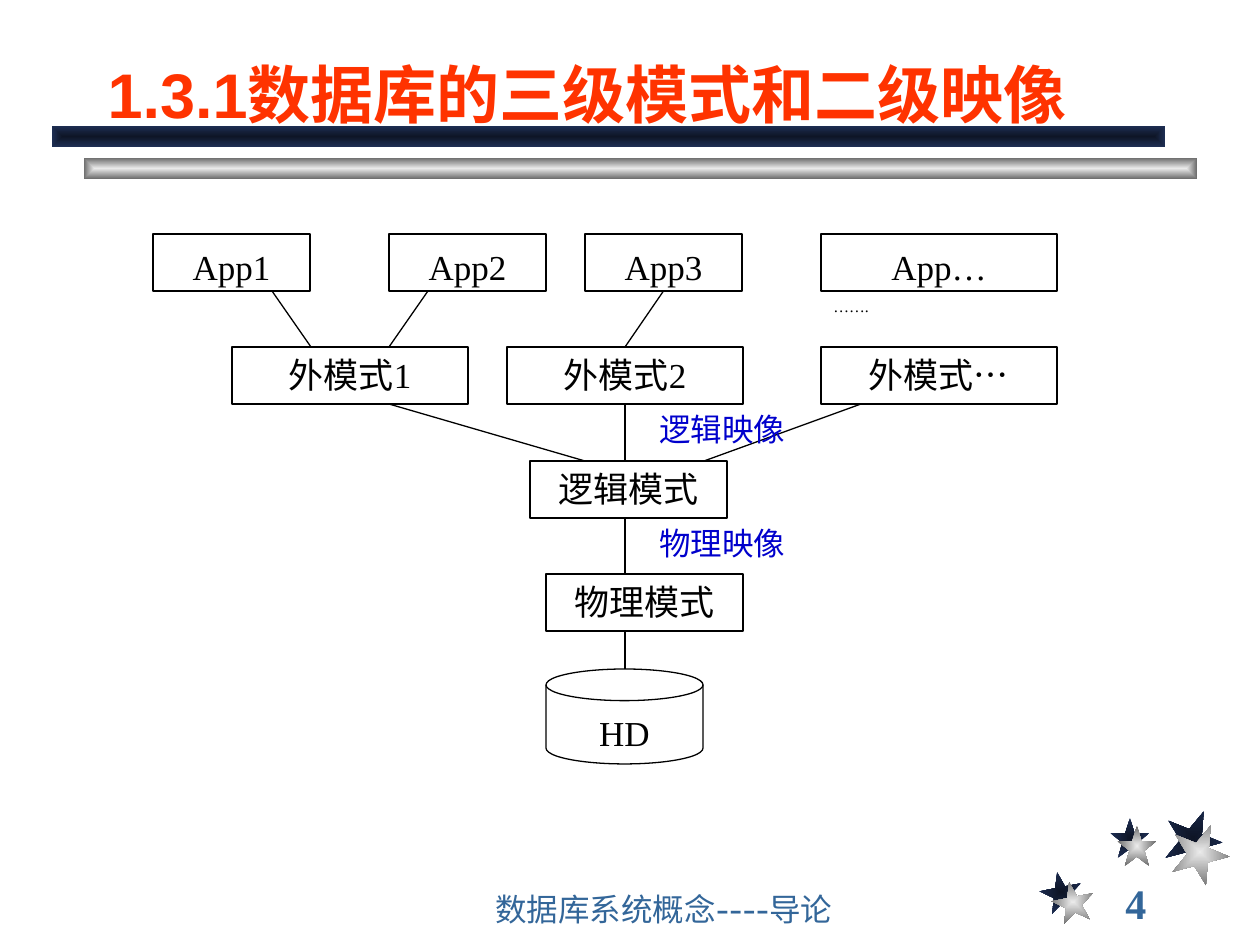
import pptx
import pptx.dml.color
import pptx.enum.shapes
import pptx.enum.text
import pptx.util
from dataclasses import dataclass
from lxml import etree

SHAPE = pptx.enum.shapes.MSO_SHAPE
ALIGN = pptx.enum.text.PP_ALIGN
ANCHOR = pptx.enum.text.MSO_ANCHOR
PX = 914400 / 126


@dataclass(frozen=True)
class Theme:
    ink: str = "000000"
    paper: str = "FFFFFF"
    title: str = "FF3300"
    mapping: str = "0000CC"
    footer: str = "336699"
    navy: tuple = ("0E1526", "1E2E53")
    silver: tuple = ("EAEAEA", "6C6C6C")
    serif: str = "Times New Roman"
    title_font: str = "Arial"
    footer_font: str = "Cabin"
    title_size: int = 36
    number_size: int = 24
    box_size: int = 20
    label_size: int = 18
    dots_size: int = 9
    line_width: float = 0.75


THEME = Theme()

TITLE = "1.3.1数据库的三级模式和二级映像"
FOOTER = "数据库系统概念----导论"
PAGE = "4"

# Diagram rows share one height; the gap between rows is as tall as a row.
FIRST_ROW, ROW_PITCH, ROW_HEIGHT = 234, 113.4, 57
# text, row, left, width
BOXES = [
    ("App1", 0, 153, 157), ("App2", 0, 389, 157),
    ("App3", 0, 585, 157), ("App…", 0, 821, 236),
    ("外模式1", 1, 232, 236), ("外模式2", 1, 507, 236), ("外模式…", 1, 821, 236),
    ("逻辑模式", 2, 530, 197),
    ("物理模式", 3, 546, 197),
]
DISK = ("HD", (546, 669, 157, 95))
# upper row, x on its lower edge, x on the next row's upper edge, boxes joined at mid-side
LINKS = [
    (0, 272, 311, None, None),
    (0, 428, 389, None, None),
    (0, 664, 625, "App3", "外模式2"),
    (1, 389, 585, None, None),
    (1, 625, 625, "外模式2", None),
    (1, 861, 704, None, None),
    (2, 625, 625, None, None),
    (3, 625, 625, None, None),
]
# text, row above, left, width, alignment, size, colour
LABELS = [
    ("…….", 0, 821, 236, ALIGN.JUSTIFY, THEME.dots_size, THEME.ink),
    ("逻辑映像", 1, 467, 510, ALIGN.CENTER, THEME.label_size, THEME.mapping),
    ("物理映像", 2, 585, 275, ALIGN.CENTER, THEME.label_size, THEME.mapping),
]
# centre x, centre y, width, height, rotation, shift of the silver star
STARS = [
    (1061, 892, 42, 40, -11, (12, 10)),
    (1130, 838, 39, 40, 0, (7, 8)),
    (1193, 838, 58, 57, 22, (7, 14)),
]
BARS = [((84, 158, 1113, 21), THEME.silver), ((52, 126, 1113, 21), THEME.navy)]


def emu(*lengths):
    return [pptx.util.Emu(round(length * PX)) for length in lengths]


def row_top(row):
    return round(FIRST_ROW + ROW_PITCH * row)


def rgb(colour):
    return pptx.dml.color.RGBColor.from_string(colour)


def write(shape, text, font, size, colour, bold=False, align=ALIGN.LEFT,
          anchor=ANCHOR.TOP, top_inset=6):
    frame = shape.text_frame
    frame.text = text
    frame.word_wrap = True
    frame.auto_size = pptx.enum.text.MSO_AUTO_SIZE.NONE
    frame.vertical_anchor = anchor
    frame.margin_top = emu(top_inset)[0]
    paragraph = frame.paragraphs[0]
    paragraph.alignment = align
    for run in paragraph.runs:
        run.font.name = font
        run.font.size = pptx.util.Pt(size)
        run.font.bold = bold
        run.font.color.rgb = rgb(colour)


def add_textbox(slide, place, *args, **options):
    write(slide.shapes.add_textbox(*emu(*place)), *args, **options)


def add_glow(slide, preset, place, colours, rotation=0):
    """Add a borderless shape shaded from its centre to its edges."""
    shape = slide.shapes.add_shape(preset, *emu(*place))
    shape.shadow.inherit = False
    shape.rotation = rotation
    shape.line.fill.background()
    shape.fill.gradient()
    for stop, colour, position in zip(shape.fill.gradient_stops, colours, (0, 1)):
        stop.color.rgb = rgb(colour)
        stop.position = position
    linear = shape.element.spPr.find(".//" + pptx.oxml.ns.qn("a:lin"))
    shading = etree.Element(pptx.oxml.ns.qn("a:path"), path="rect")
    etree.SubElement(shading, pptx.oxml.ns.qn("a:fillToRect"),
                     l="50000", t="50000", r="50000", b="50000")
    linear.getparent().replace(linear, shading)


def add_node(slide, preset, text, place):
    node = slide.shapes.add_shape(preset, *emu(*place))
    node.shadow.inherit = False
    node.fill.solid()
    node.fill.fore_color.rgb = rgb(THEME.paper)
    node.line.color.rgb = rgb(THEME.ink)
    node.line.width = pptx.util.Pt(THEME.line_width)
    # Latin lines are shorter, so they start lower to share the baseline.
    write(node, text, THEME.serif, THEME.box_size, THEME.ink, align=ALIGN.CENTER,
          top_inset=11 if text[0].isascii() else 6)
    return node


def add_link(slide, start, end, upper=None, lower=None):
    link = slide.shapes.add_connector(
        pptx.enum.shapes.MSO_CONNECTOR.STRAIGHT, *emu(*start, *end))
    link.line.color.rgb = rgb(THEME.ink)
    link.line.width = pptx.util.Pt(THEME.line_width)
    etree.SubElement(link.element.spPr, pptx.oxml.ns.qn("a:effectLst"))
    if upper:
        link.begin_connect(upper, 2)
    if lower:
        link.end_connect(lower, 0)


def add_frame(slide):
    """Add the stars, bars, title, footer and page number."""
    for colours in (THEME.navy, THEME.silver):
        for x, y, width, height, rotation, shift in STARS:
            dx, dy = shift if colours == THEME.silver else (0, 0)
            place = (x + dx - width / 2, y + dy - height / 2, width, height)
            add_glow(slide, SHAPE.STAR_5_POINT, place, colours, rotation)
    for place, colours in BARS:
        add_glow(slide, SHAPE.RECTANGLE, place, colours)
    add_textbox(slide, (1113, 882, 136, 42), PAGE, THEME.serif, THEME.number_size,
                THEME.footer, bold=True, anchor=ANCHOR.MIDDLE)
    add_textbox(slide, (483, 892, 514, 42), FOOTER, THEME.footer_font,
                THEME.label_size, THEME.footer, anchor=ANCHOR.BOTTOM)
    title = slide.shapes.title
    title.left, title.top, title.width, title.height = emu(95, 21, 1071, 116)
    write(title, TITLE, THEME.title_font, THEME.title_size, THEME.title,
          bold=True, anchor=ANCHOR.BOTTOM)


def add_diagram(slide):
    nodes = {text: add_node(slide, SHAPE.RECTANGLE, text,
                            (left, row_top(row), width, ROW_HEIGHT))
             for text, row, left, width in BOXES}
    disk, disk_place = DISK
    add_node(slide, SHAPE.FLOWCHART_MAGNETIC_DISK, disk, disk_place)
    for row, x1, x2, upper, lower in LINKS:
        end_y = row_top(row + 1) if row < 3 else disk_place[1]
        add_link(slide, (x1, row_top(row) + ROW_HEIGHT), (x2, end_y),
                 nodes.get(upper), nodes.get(lower))
    for text, row, left, width, align, size, colour in LABELS:
        add_textbox(slide, (left, row_top(row) + ROW_HEIGHT, width, ROW_HEIGHT),
                    text, THEME.serif, size, colour, align=align)


def main():
    deck = pptx.Presentation()
    deck.slide_width, deck.slide_height = emu(1260, 945)
    slide = deck.slides.add_slide(deck.slide_layouts[5])
    add_frame(slide)
    add_diagram(slide)
    deck.save("out.pptx")


if __name__ == "__main__":
    main()
